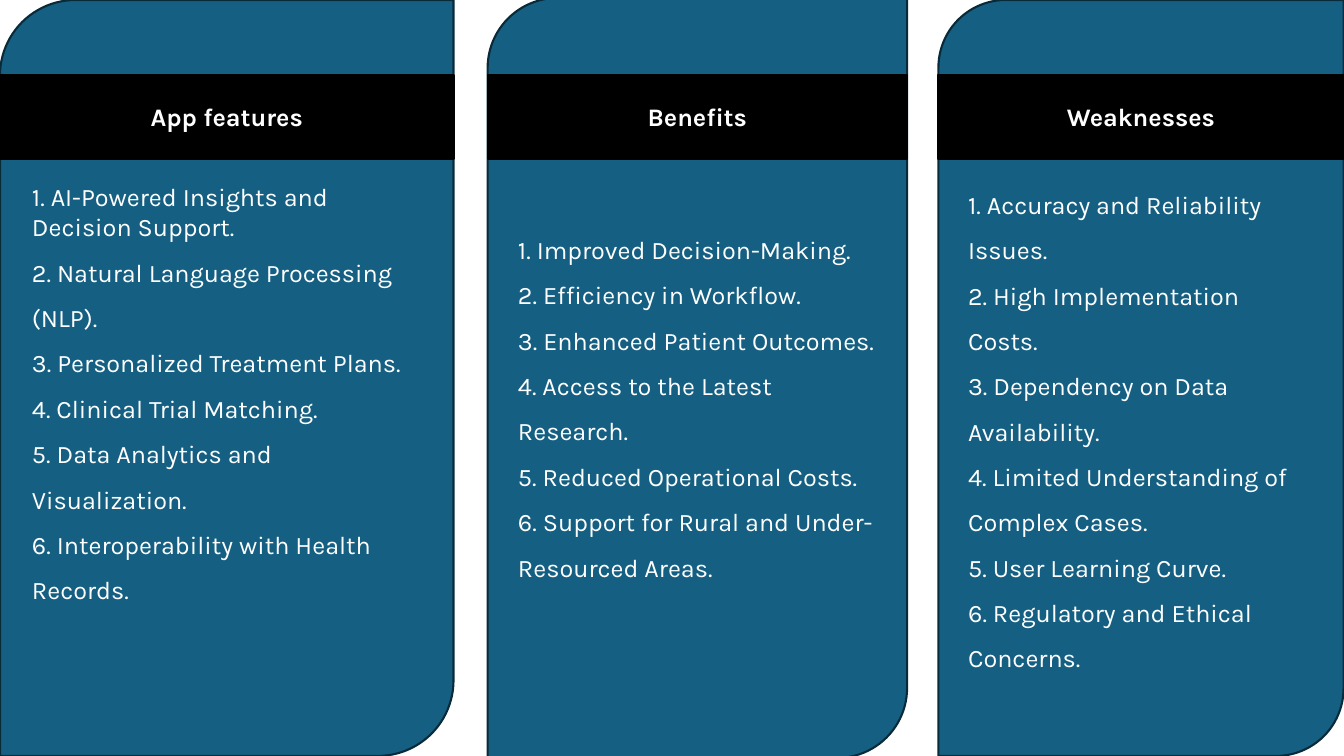
"""Build a slide with three panels: app features, benefits and weaknesses."""
import dataclasses

import pptx
import pptx.dml.color
import pptx.enum.shapes
import pptx.enum.text
import pptx.util

Cm = pptx.util.Cm
PRESETS = pptx.enum.shapes.MSO_SHAPE
ALIGN = pptx.enum.text.PP_ALIGN


@dataclasses.dataclass(frozen=True)
class Theme:
    """Hold the colours, font and sizes of the slide."""
    panel: str = "156082"
    panel_edge: str = "092A39"
    heading: str = "000000"
    text: str = "FFFFFF"
    font: str = "Karla"
    size: float = 18
    edge_width: float = 1.5
    item_spacing: float = 1.5


def rgb(code):
    """Return the colour for a hex code."""
    return pptx.dml.color.RGBColor.from_string(code)


def write(paragraph, text, *, theme, bold=False, align=ALIGN.LEFT, spacing=1.0):
    """Write formatted text into a paragraph."""
    paragraph.alignment = align
    paragraph.line_spacing = spacing
    run = paragraph.add_run()
    run.text = text
    run.font.name = theme.font
    run.font.size = pptx.util.Pt(theme.size)
    run.font.bold = bold
    run.font.color.rgb = rgb(theme.text)


class PanelSlide:
    """Draw panels and headings on one slide in one style."""

    def __init__(self, slide, theme):
        """Keep the slide and its theme."""
        self.slide = slide
        self.theme = theme

    def box(self, preset, left, top, width, height, fill, edge):
        """Add a filled, outlined shape and return its text frame."""
        shape = self.slide.shapes.add_shape(
            preset, Cm(left), Cm(top), Cm(width), Cm(height))
        shape.shadow.inherit = False
        shape.fill.solid()
        shape.fill.fore_color.rgb = rgb(fill)
        shape.line.color.rgb = rgb(edge)
        shape.line.width = pptx.util.Pt(self.theme.edge_width)
        frame = shape.text_frame
        frame.word_wrap = True
        frame.vertical_anchor = pptx.enum.text.MSO_ANCHOR.MIDDLE
        return frame

    def panel(self, left, top, width, height, items, inset, first_spacing):
        """Add a panel with its list of items."""
        frame = self.box(PRESETS.ROUND_2_DIAG_RECTANGLE, left, top, width, height,
                         self.theme.panel, self.theme.panel_edge)
        frame.margin_top = Cm(inset)
        for number, item in enumerate(items, start=1):
            paragraph = frame.paragraphs[0] if number == 1 else frame.add_paragraph()
            spacing = first_spacing if number == 1 else self.theme.item_spacing
            write(paragraph, f"{number}. {item}", theme=self.theme, spacing=spacing)

    def heading(self, left, width, text):
        """Add the heading band across a panel."""
        frame = self.box(PRESETS.RECTANGLE, left, 1.88, width, 2.13,
                         self.theme.heading, self.theme.heading)
        write(frame.paragraphs[0], text, theme=self.theme, bold=True,
              align=ALIGN.CENTER)


COLUMNS = [
    dict(title="App features", left=0, top=0, width=11.43, height=19.05,
         inset=0.89, first_spacing=1.0, items=[
             "AI-Powered Insights and Decision Support.",
             "Natural Language Processing (NLP).",
             "Personalized Treatment Plans.",
             "Clinical Trial Matching.",
             "Data Analytics and Visualization.",
             "Interoperability with Health Records."]),
    dict(title="Benefits", left=12.29, top=-0.05, width=10.57, height=19.15,
         inset=1.27, first_spacing=1.5, items=[
             "Improved Decision-Making.",
             "Efficiency in Workflow.",
             "Enhanced Patient Outcomes.",
             "Access to the Latest Research.",
             "Reduced Operational Costs.",
             "Support for Rural and Under-Resourced Areas."]),
    dict(title="Weaknesses", left=23.65, top=0, width=10.21, height=19.05,
         inset=2.42, first_spacing=1.5, items=[
             "Accuracy and Reliability Issues.",
             "High Implementation Costs.",
             "Dependency on Data Availability.",
             "Limited Understanding of Complex Cases.",
             "User Learning Curve.",
             "Regulatory and Ethical Concerns."]),
]


def main():
    """Build and save the presentation."""
    presentation = pptx.Presentation()
    presentation.slide_width = Cm(33.87)
    presentation.slide_height = Cm(19.05)
    blank = presentation.slide_layouts[6]
    page = PanelSlide(presentation.slides.add_slide(blank), Theme())
    for column in COLUMNS:
        page.panel(column["left"], column["top"], column["width"], column["height"],
                   column["items"], column["inset"], column["first_spacing"])
        page.heading(column["left"], column["width"], column["title"])
    presentation.save("out.pptx")


if __name__ == "__main__":
    main()
